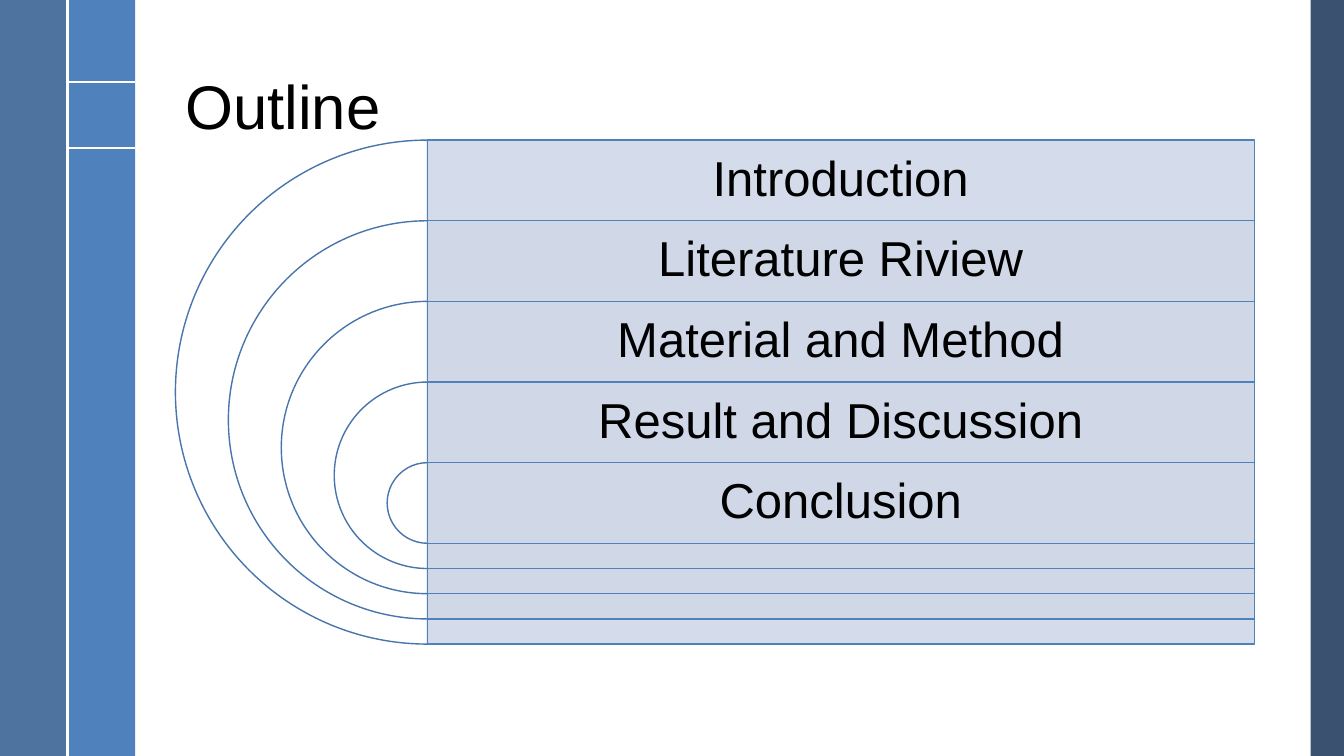
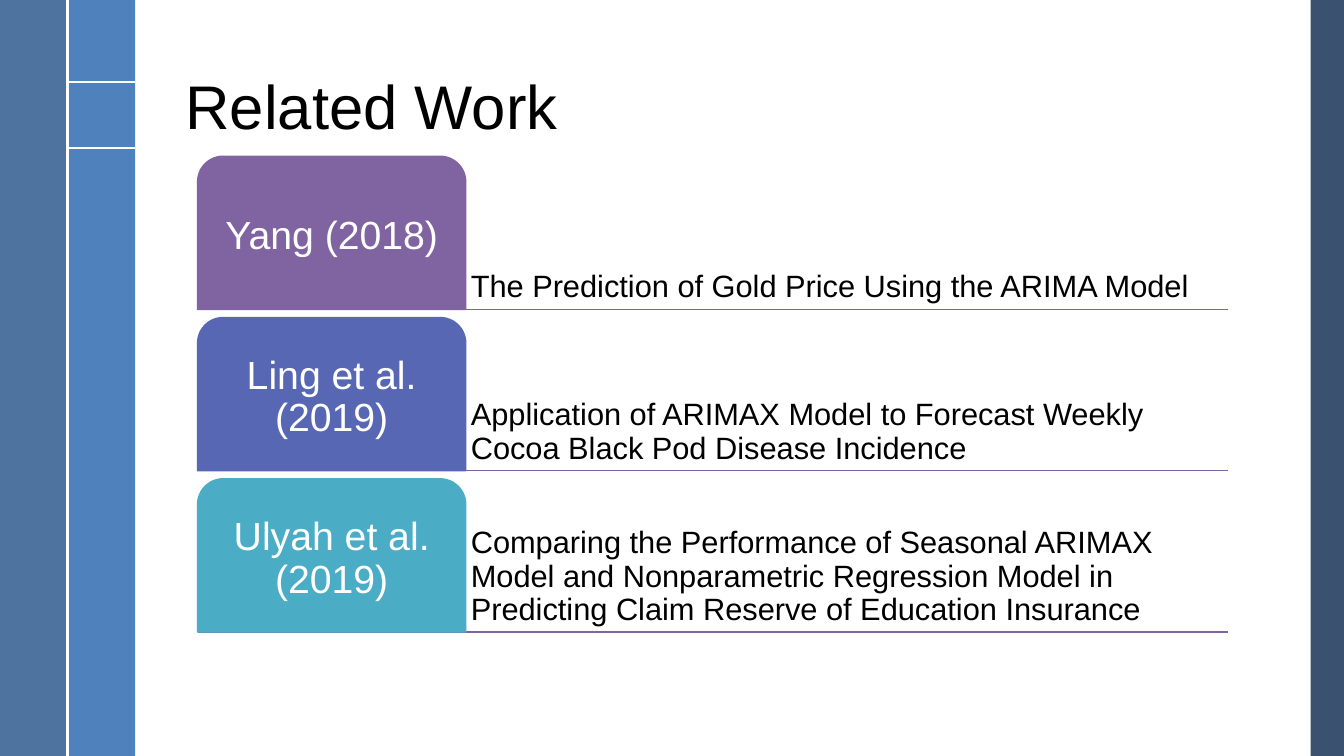
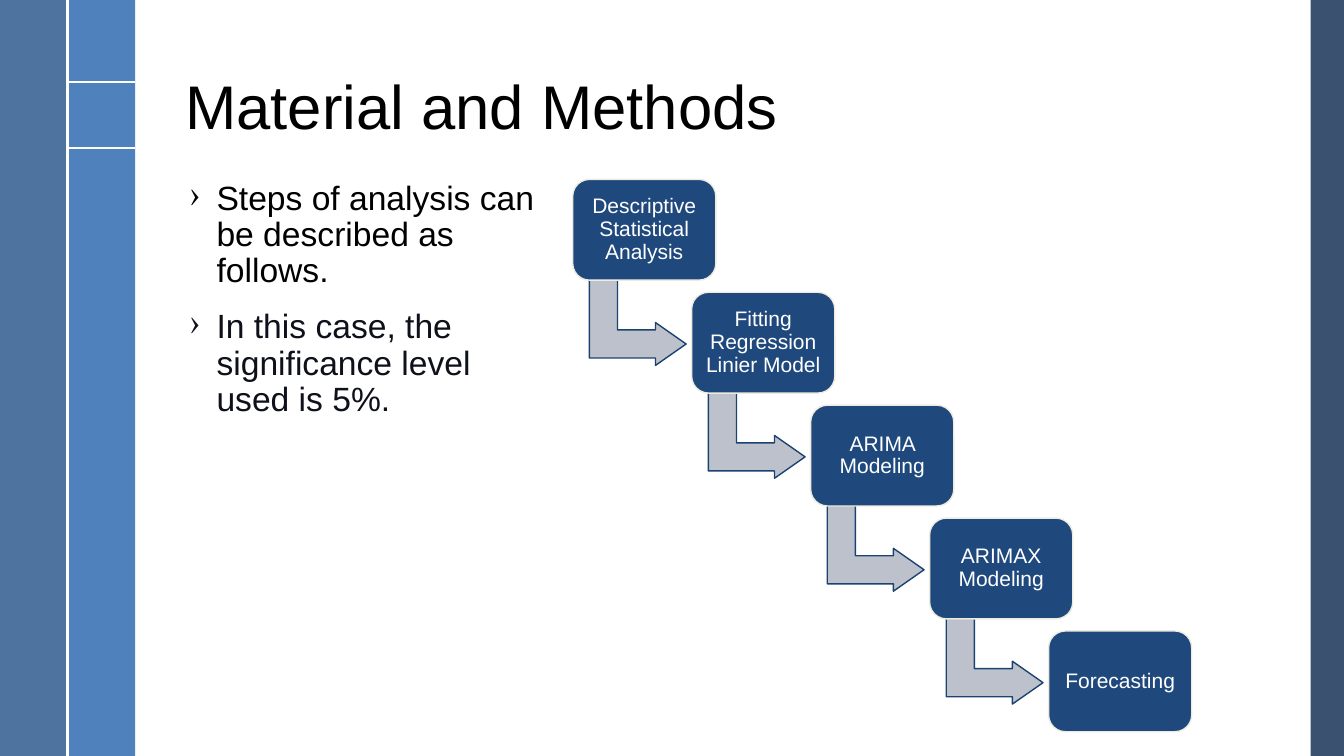
from lxml.etree import SubElement
from pptx import Presentation
from pptx.dml.color import RGBColor
from pptx.enum.shapes import MSO_CONNECTOR, MSO_SHAPE
from pptx.enum.text import MSO_ANCHOR, PP_ALIGN
from pptx.oxml.ns import qn
from pptx.util import Inches, Pt

# Shared look
FONT = "Arial"
BLACK = RGBColor(0x00, 0x00, 0x00)
WHITE = RGBColor(0xFF, 0xFF, 0xFF)
INK = RGBColor(0x0E, 0x10, 0x1A)
BLUE = RGBColor(0x4F, 0x81, 0xBD)
STEEL = RGBColor(0x37, 0x60, 0x92)
NIGHT = RGBColor(0x25, 0x40, 0x61)
ARC = RGBColor(0x48, 0x75, 0xAC)
PALE = RGBColor(0xD0, 0xD8, 0xE8)
PURPLE = RGBColor(0x80, 0x64, 0xA2)
INDIGO = RGBColor(0x57, 0x67, 0xB4)
TEAL = RGBColor(0x4B, 0xAC, 0xC6)
NAVY = RGBColor(0x1F, 0x49, 0x7D)
CREAM = RGBColor(0xEE, 0xEC, 0xE1)
GRAY = RGBColor(0xBD, 0xC1, 0xCC)
EDGE = RGBColor(0x1C, 0x42, 0x71)
WIDE, HIGH = 13.33, 7.5


def draw(slide, kind, box, fill, line=None, alpha=100, adj=()):
    """Add a preset shape with a plain fill and an optional outline."""
    shape = slide.shapes.add_shape(kind, *map(Inches, box))
    shape.shadow.inherit = False
    shape.fill.solid()
    shape.fill.fore_color.rgb = fill
    if alpha < 100:
        color = shape.fill._xPr.find(qn("a:solidFill"))[0]
        SubElement(color, qn("a:alpha"), val=str(alpha * 1000))
    if line is None:
        shape.line.fill.background()
    else:
        shape.line.color.rgb = line
        shape.line.width = Pt(1)
    for i, value in enumerate(adj):
        shape.adjustments[i] = value
    return shape


def rule(slide, start, end, color, width):
    line = slide.shapes.add_connector(
        MSO_CONNECTOR.STRAIGHT, *map(Inches, (*start, *end)))
    line.line.color.rgb = color
    line.line.width = Pt(width)
    SubElement(line._element.spPr, qn("a:effectLst"))


def set_frame(shape, anchor, insets=(0.1, 0.05, 0.1, 0.05)):
    frame = shape.text_frame
    frame.word_wrap = True
    frame.vertical_anchor = anchor
    (frame.margin_left, frame.margin_top,
     frame.margin_right, frame.margin_bottom) = map(Inches, insets)
    return frame


def write(para, text, size, color=BLACK, align=PP_ALIGN.LEFT):
    para.alignment = align
    para.line_spacing = 0.9
    run = para.add_run()
    run.text = text
    run.font.name = FONT
    run.font.size = Pt(size)
    run.font.color.rgb = color


def label(shape, text, size, color, insets):
    frame = set_frame(shape, MSO_ANCHOR.MIDDLE, insets)
    write(frame.paragraphs[0], text, size, color, PP_ALIGN.CENTER)


def text_box(slide, box, anchor, *insets):
    return set_frame(slide.shapes.add_textbox(*map(Inches, box)), anchor, *insets)


def new_slide(deck, title):
    """Start a slide with the side bands and the title."""
    slide = deck.slides.add_slide(deck.slide_layouts[6])
    band = 0.67
    for left, width, fill, alpha in ((WIDE - 0.33, 0.33, NIGHT, 90),
                                     (band, band, BLUE, 100),
                                     (0, band, STEEL, 88)):
        draw(slide, MSO_SHAPE.RECTANGLE, (left, 0, width, HIGH), fill, alpha=alpha)
    for y in (0.81, 1.47):
        rule(slide, (band, y), (2 * band, y), WHITE, 1.5)
    rule(slide, (band, 0), (band, HIGH), WHITE, 1.5)
    frame = text_box(slide, (1.74, 0.47, 10.7, 1), MSO_ANCHOR.BOTTOM)
    write(frame.paragraphs[0], title, 44)
    return slide


def target(slide, box, items):
    """Nested half circles, each with a band to its right."""
    left, top, width, height = box
    step = 0.8
    shrink = (height - step) / (len(items) - 1)
    mid = left + height / 2
    for i, text in enumerate(items):
        y, size = top + i * step, height - i * shrink
        draw(slide, MSO_SHAPE.PIE, (mid - size / 2, y, size, size),
             WHITE, ARC, adj=(54, 162))
        band = draw(slide, MSO_SHAPE.RECTANGLE,
                    (mid, y, left + width - mid, size), PALE, BLUE, 90)
        label(band, text, 35, BLACK, (0.15, 0.1, 0.15, size - step + 0.1))


def tab_list(slide, box, rows):
    """Coloured tabs, each with a line of text on a rule."""
    left, top, width, height = box
    pitch, tab = 1.6, 2.66
    high = height - pitch * (len(rows) - 1)
    for i in range(len(rows)):
        y = top + i * pitch + high
        rule(slide, (left, y), (left + width, y), PURPLE, 1)
    for i, (name, work, color) in enumerate(rows):
        y = top + i * pitch
        frame = text_box(slide, (left + tab, y, width - tab, high),
                         MSO_ANCHOR.BOTTOM, (0.05,) * 4)
        write(frame.paragraphs[0], work, 22)
        shape = draw(slide, MSO_SHAPE.ROUND_2_SAME_RECTANGLE,
                     (left, y, tab, high), color, color, adj=(0.167, 0))
        label(shape, name, 28, WHITE, (0.06,) * 4)


def bullets(slide, box, items):
    frame = text_box(slide, box, MSO_ANCHOR.TOP)
    for i, (text, color) in enumerate(items):
        para = frame.add_paragraph() if i else frame.paragraphs[0]
        props = para._p.get_or_add_pPr()
        props.set("marL", str(Inches(0.27)))
        props.set("indent", str(Inches(-0.27)))
        SubElement(props, qn("a:buChar"), char="›")
        if i:
            para.space_before = Pt(14)
        write(para, text, 24, color)


def stairs(slide, box, steps):
    """Boxes going down to the right, joined by bent arrows."""
    left, top, width, height = box
    wide, high = 1.42, 1
    last = len(steps) - 1
    over, down = (width - wide) / last, (height - high) / last
    for i, text in enumerate(steps):
        x, y = left + i * over, top + i * down
        if i < last:
            arrow = draw(slide, MSO_SHAPE.BENT_UP_ARROW,
                         (x + 0.22, y + 0.94, 0.85, 0.96), GRAY, EDGE,
                         adj=(0.328, 0.25, 0.358))
            arrow.rotation = 90
        shape = draw(slide, MSO_SHAPE.ROUNDED_RECTANGLE, (x, y, wide, high),
                     NAVY, CREAM, adj=(0.167,))
        label(shape, text, 15, WHITE, (0.06,) * 4)


def main():
    deck = Presentation()
    deck.slide_width, deck.slide_height = Inches(WIDE), Inches(HIGH)

    # Outline
    target(new_slide(deck, "Outline"), (1.74, 1.39, 10.7, 5), (
        "Introduction", "Literature Riview", "Material and Method",
        "Result and Discussion", "Conclusion"))

    # Related work
    tab_list(new_slide(deck, "Related Work"), (1.96, 1.55, 10.22, 4.72), (
        ("Yang (2018)",
         "The Prediction of Gold Price Using the ARIMA Model", PURPLE),
        ("Ling et al. (2019)",
         "Application of ARIMAX Model to Forecast Weekly Cocoa Black Pod "
         "Disease Incidence", INDIGO),
        ("Ulyah et al. (2019)",
         "Comparing the Performance of Seasonal ARIMAX Model and "
         "Nonparametric Regression Model in Predicting Claim Reserve of "
         "Education Insurance", TEAL)))

    # Methods
    slide = new_slide(deck, "Material and Methods")
    bullets(slide, (1.78, 1.75, 3.66, 4.68), (
        ("Steps of analysis can be described as follows.", BLACK),
        ("In this case, the significance level used is 5%.", INK)))
    stairs(slide, (5.68, 1.78, 6.14, 5.48), (
        "Descriptive Statistical Analysis", "Fitting Regression Linier Model",
        "ARIMA Modeling", "ARIMAX Modeling", "Forecasting"))

    deck.save("out.pptx")


if __name__ == "__main__":
    main()
